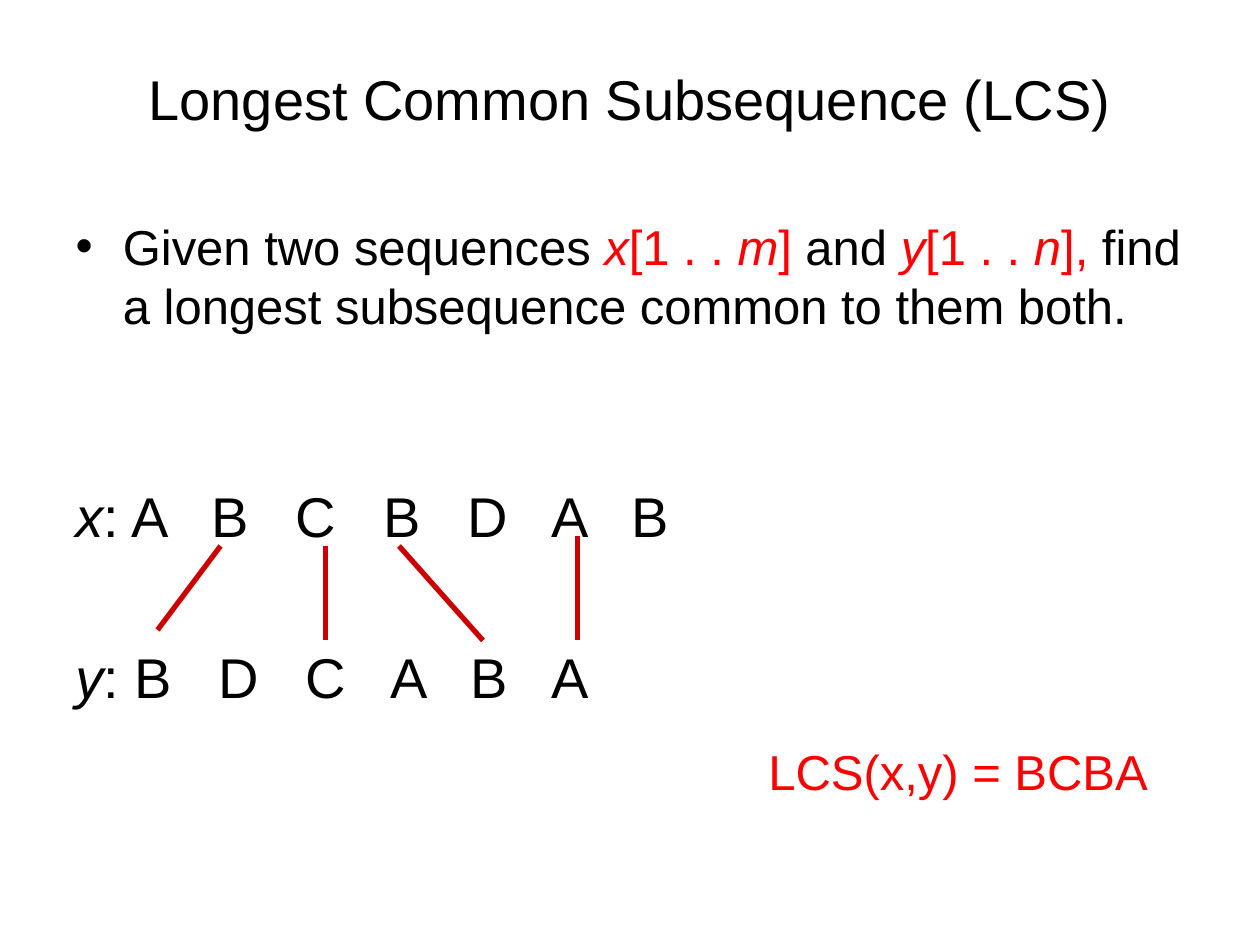
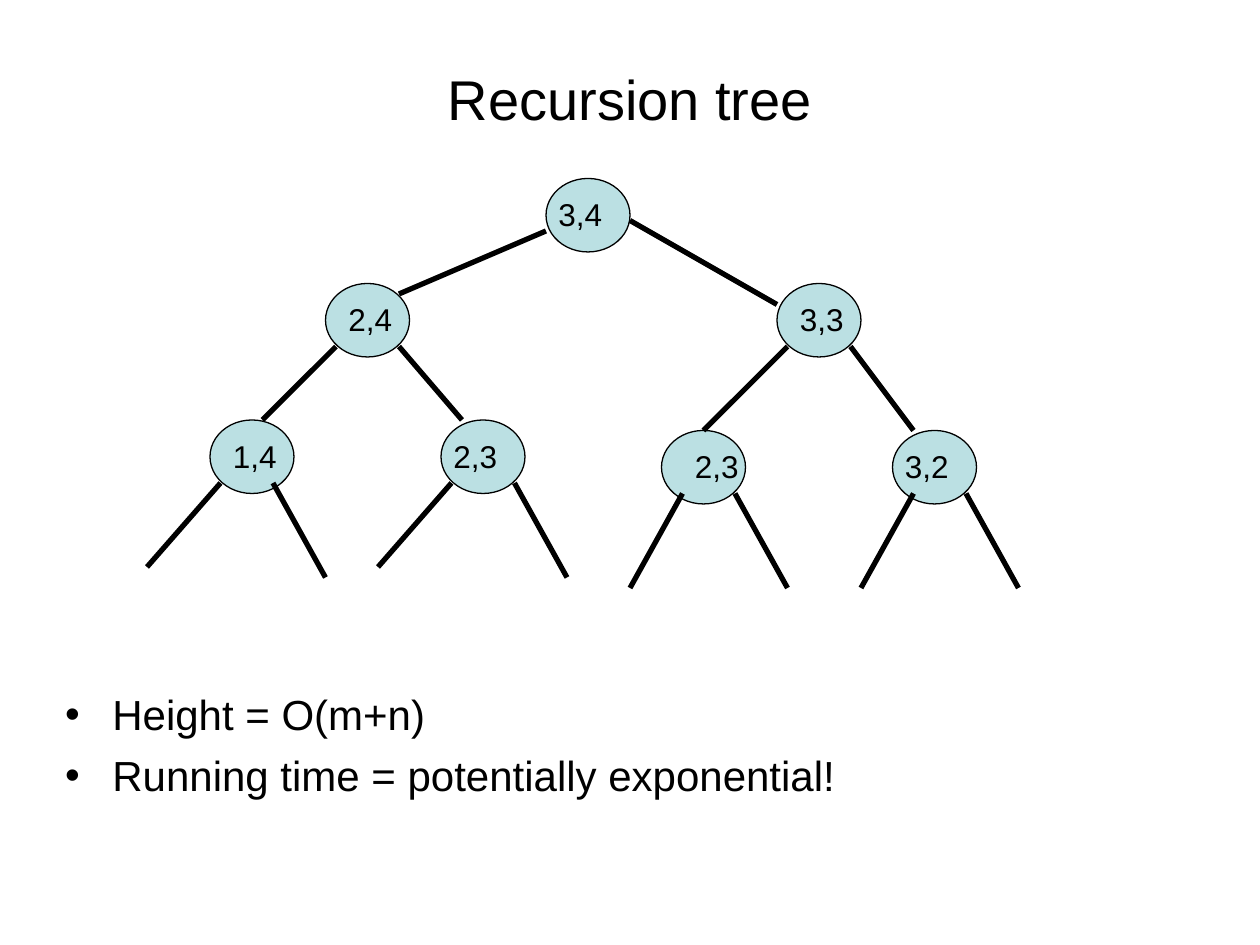
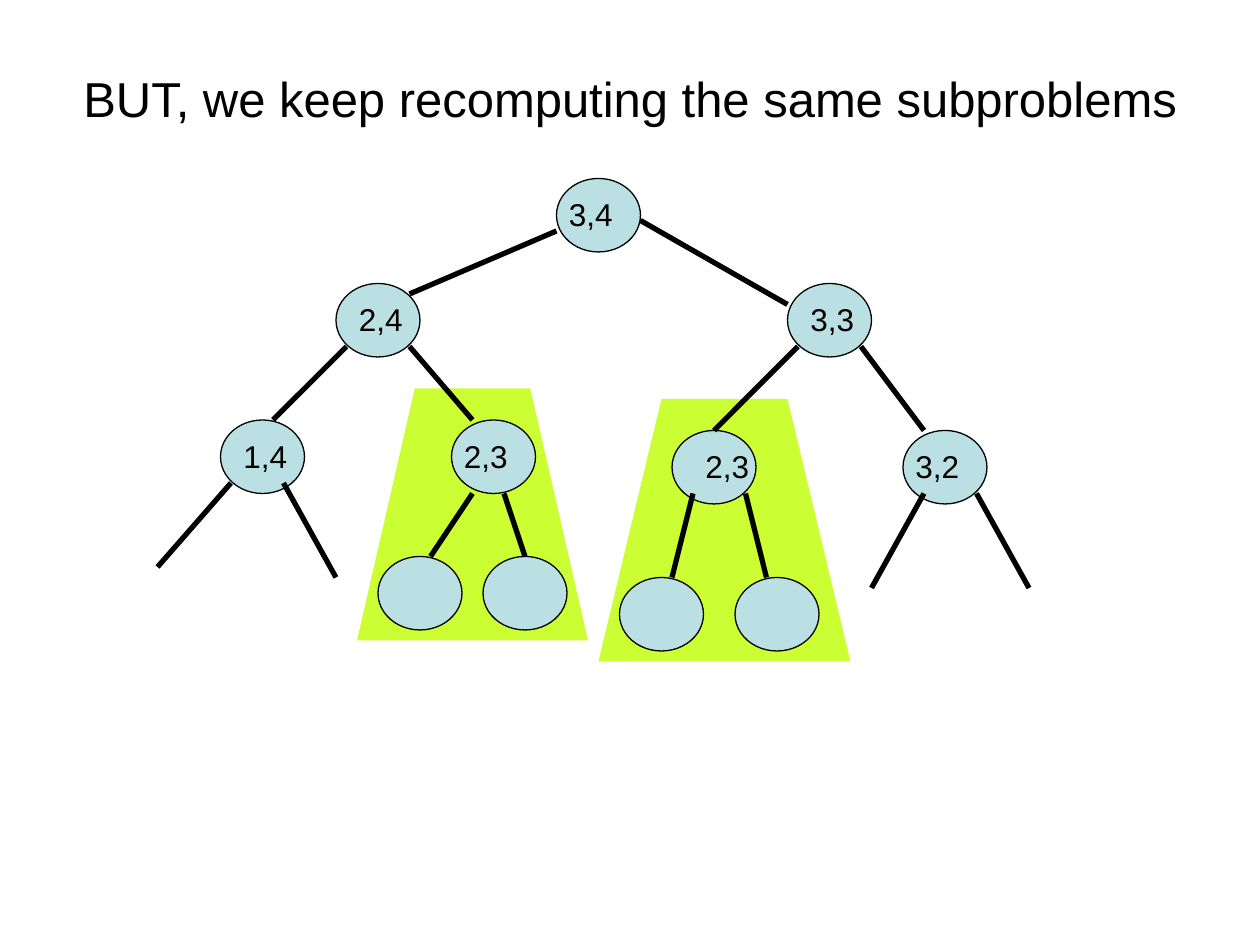
from lxml.etree import SubElement
from pptx import Presentation
from pptx.dml.color import RGBColor
from pptx.enum.shapes import MSO_CONNECTOR, MSO_SHAPE
from pptx.enum.text import MSO_ANCHOR, MSO_AUTO_SIZE, PP_ALIGN
from pptx.oxml.ns import qn
from pptx.util import Pt

PX = 9525
FONT = "Arial"
COLORS = {
    "ink": "000000",
    "accent": "FF0000",
    "match": "CC0000",
    "node": "BBE0E3",
    "highlight": "CCFF33",
}
NODE_WIDTH, NODE_HEIGHT = 64, 56
TITLE_AND_BODY, TITLE_ONLY = 1, 5

TREE_NODES = [
    ("3,4", 416, 136, 0),
    ("2,4", 248, 216, 8),
    ("3,3", 592, 216, 8),
    ("1,4", 160, 320, 8),
    ("2,3", 336, 320, 0),
    ("2,3", 504, 328, 16),
    ("3,2", 680, 328, 0),
]
TREE_EDGES = [
    (416, 176, 304, 224),
    (256, 264, 200, 320),
    (592, 232, 480, 168),
    (600, 264, 536, 328),
    (352, 320, 304, 264),
    (696, 328, 648, 264),
]
OUTER_STEMS = [
    (168, 368, 112, 432),
    (248, 440, 208, 368),
    (776, 448, 736, 376),
    (656, 448, 696, 376),
]
INNER_STEMS = [
    (344, 368, 288, 432),
    (432, 440, 392, 368),
    (600, 448, 560, 376),
    (480, 448, 520, 376),
]


def rgb(name):
    return RGBColor.from_string(COLORS[name])


def write(paragraph, text, size=18, color="ink", italic=False):
    run = paragraph.add_run()
    run.text = text
    run.font.name = FONT
    run.font.size = Pt(size)
    run.font.italic = italic
    run.font.color.rgb = rgb(color)


class Deck:
    def __init__(self):
        self.presentation = Presentation()
        self.presentation.slide_width = 960 * PX
        self.presentation.slide_height = 720 * PX

    def start(self, layout, title, size=32):
        layouts = self.presentation.slide_layouts
        self.slide = self.presentation.slides.add_slide(layouts[layout])
        self.shapes = self.slide.shapes
        self.node_tops = {}
        frame = self.place(self.shapes.title, 48, 29, 864, 91)
        frame.vertical_anchor = MSO_ANCHOR.MIDDLE
        frame.paragraphs[0].alignment = PP_ALIGN.CENTER
        write(frame.paragraphs[0], title, size=size)

    def place(self, holder, left, top, width, height):
        holder.left, holder.top = left * PX, top * PX
        holder.width, holder.height = width * PX, height * PX
        holder.text_frame.word_wrap = True
        holder.text_frame.auto_size = MSO_AUTO_SIZE.NONE
        return holder.text_frame

    def body(self, *box):
        return self.place(self.slide.placeholders[1], *box)

    def bullet(self, frame, before=0):
        first = frame.paragraphs[0]
        paragraph = frame.add_paragraph() if first.runs else first
        paragraph.space_before = Pt(before)
        properties = paragraph._p.get_or_add_pPr()
        properties.set("marL", str(36 * PX))
        properties.set("indent", str(-36 * PX))
        SubElement(properties, qn("a:buChar"), char="•")
        return paragraph

    def text_box(self, *box):
        return self.place(self.shapes.add_textbox(0, 0, 0, 0), *box).paragraphs[0]

    def label(self, text, *box, **style):
        write(self.text_box(*box), text, **style)

    def sequence(self, name, letters, top, stops):
        paragraph = self.text_box(48, top, 520, 62)
        tabs = SubElement(paragraph._p.get_or_add_pPr(), qn("a:tabLst"))
        for stop in stops:
            SubElement(tabs, qn("a:tab"), pos=str(stop * PX), algn="l")
        write(paragraph, name, size=32, italic=True)
        write(paragraph, ":\t" + "\t".join(letters), size=32)

    def node(self, left, top):
        oval = self.shapes.add_shape(
            MSO_SHAPE.OVAL, left * PX, top * PX, NODE_WIDTH * PX, NODE_HEIGHT * PX
        )
        oval.shadow.inherit = False
        oval.fill.solid()
        oval.fill.fore_color.rgb = rgb("node")
        oval.line.color.rgb = rgb("ink")
        oval.line.width = Pt(0.75)
        self.node_tops[left + NODE_WIDTH // 2, top] = oval

    def edge(self, x1, y1, x2, y2, color="ink"):
        line = self.shapes.add_connector(
            MSO_CONNECTOR.STRAIGHT, x1 * PX, y1 * PX, x2 * PX, y2 * PX
        )
        line.line.color.rgb = rgb(color)
        line.line.width = Pt(3)
        SubElement(line._element.spPr, qn("a:effectLst"))
        if (x1, y1) in self.node_tops:
            line.begin_connect(self.node_tops[x1, y1], 0)
        if (x2, y2) in self.node_tops:
            line.end_connect(self.node_tops[x2, y2], 0)

    def highlight(self, *corners):
        outline = self.shapes.build_freeform(*corners[0], scale=PX)
        outline.add_line_segments(corners[1:])
        area = outline.convert_to_shape()
        area.shadow.inherit = False
        area.fill.solid()
        area.fill.fore_color.rgb = rgb("highlight")
        area.line.fill.background()

    def tree(self, stems, shift=0, leaves=()):
        for pair, left, top, inset in TREE_NODES:
            self.node(left + shift, top)
            self.label(pair, left + shift + inset, top + 8, 88, 38)
        for left, top in leaves:
            self.node(left + shift, top)
        for x1, y1, x2, y2 in TREE_EDGES + stems:
            self.edge(x1 + shift, y1, x2 + shift, y2)


def lcs_slide(deck):
    deck.start(TITLE_AND_BODY, "Longest Common Subsequence (LCS)")
    task = deck.bullet(deck.body(48, 160, 864, 144))
    for text, color, italic in [
        ("Given two sequences ", "ink", False),
        ("x", "accent", True),
        ("[1 . . ", "accent", False),
        ("m", "accent", True),
        ("]", "accent", False),
        (" and ", "ink", False),
        ("y", "accent", True),
        ("[1 . . ", "accent", False),
        ("n", "accent", True),
        ("],", "accent", False),
        (" find a longest subsequence common to them both.", "ink", False),
    ]:
        write(task, text, size=28, color=color, italic=italic)
    deck.sequence("x", "ABCBDAB", 362, (43, 104, 168, 235, 299, 363, 424))
    deck.sequence("y", "BDCABA", 485, (45, 109, 175, 240, 301, 363))
    for match in [
        (168, 416, 120, 480),
        (248, 416, 248, 488),
        (304, 416, 368, 488),
        (440, 408, 440, 488),
    ]:
        deck.edge(*match, color="match")
    deck.label("LCS(x,y) = BCBA", 576, 560, 312, 55, size=28, color="accent")


def recursion_slide(deck):
    deck.start(TITLE_AND_BODY, "Recursion tree")
    frame = deck.body(40, 520, 864, 144)
    for before, text in [
        (0, "Height = O(m+n)"),
        (6, "Running time = potentially exponential!"),
    ]:
        write(deck.bullet(frame, before), text, size=24)
    deck.tree(OUTER_STEMS + INNER_STEMS)


def recomputing_slide(deck):
    deck.start(TITLE_ONLY, "BUT, we keep recomputing the same subproblems", size=28)
    deck.highlight((448, 488), (272, 488), (316, 296), (404, 296))
    deck.highlight((648, 504), (456, 504), (504, 304), (600, 304))
    subproblem_stems = [
        (352, 376, 320, 424),
        (392, 424, 376, 376),
        (576, 440, 560, 376),
        (504, 440, 520, 376),
    ]
    leaves = [(280, 424), (360, 424), (464, 440), (552, 440)]
    deck.tree(OUTER_STEMS + subproblem_stems, shift=8, leaves=leaves)


def main():
    deck = Deck()
    lcs_slide(deck)
    recursion_slide(deck)
    recomputing_slide(deck)
    deck.presentation.save("out.pptx")


if __name__ == "__main__":
    main()
